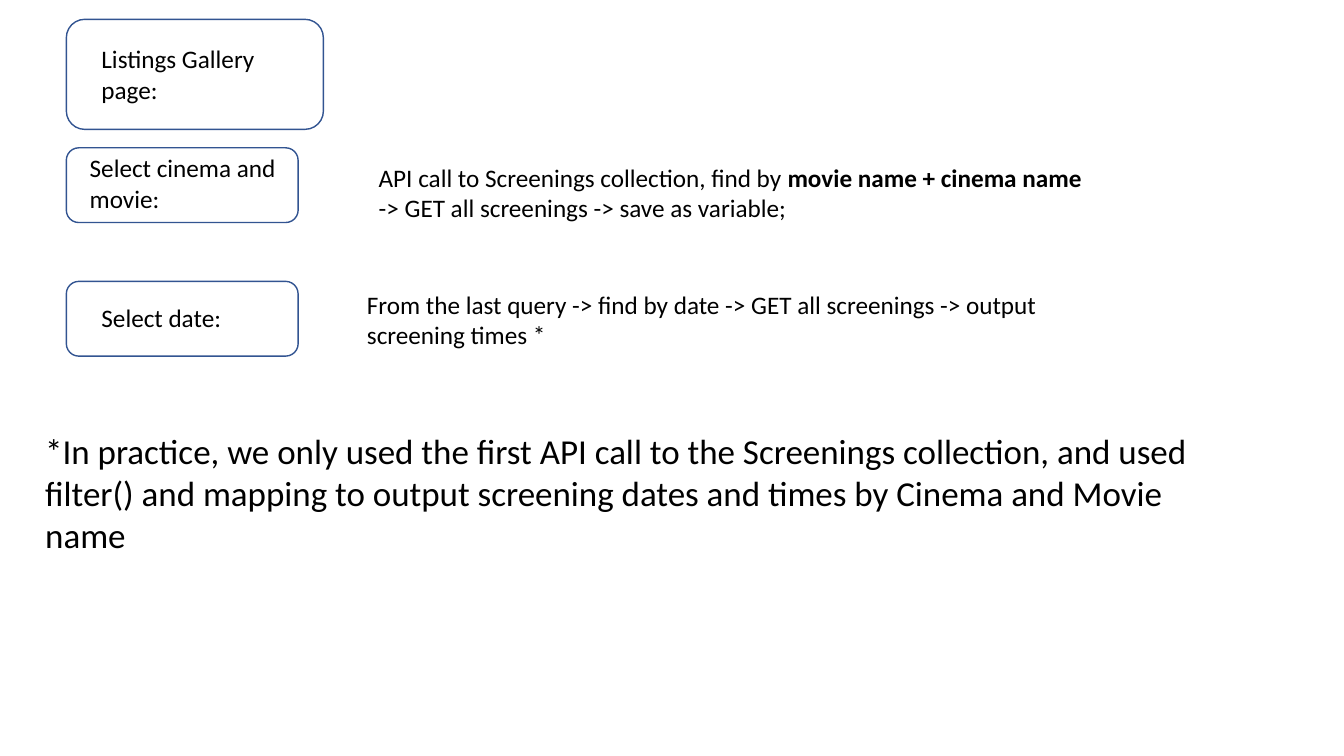
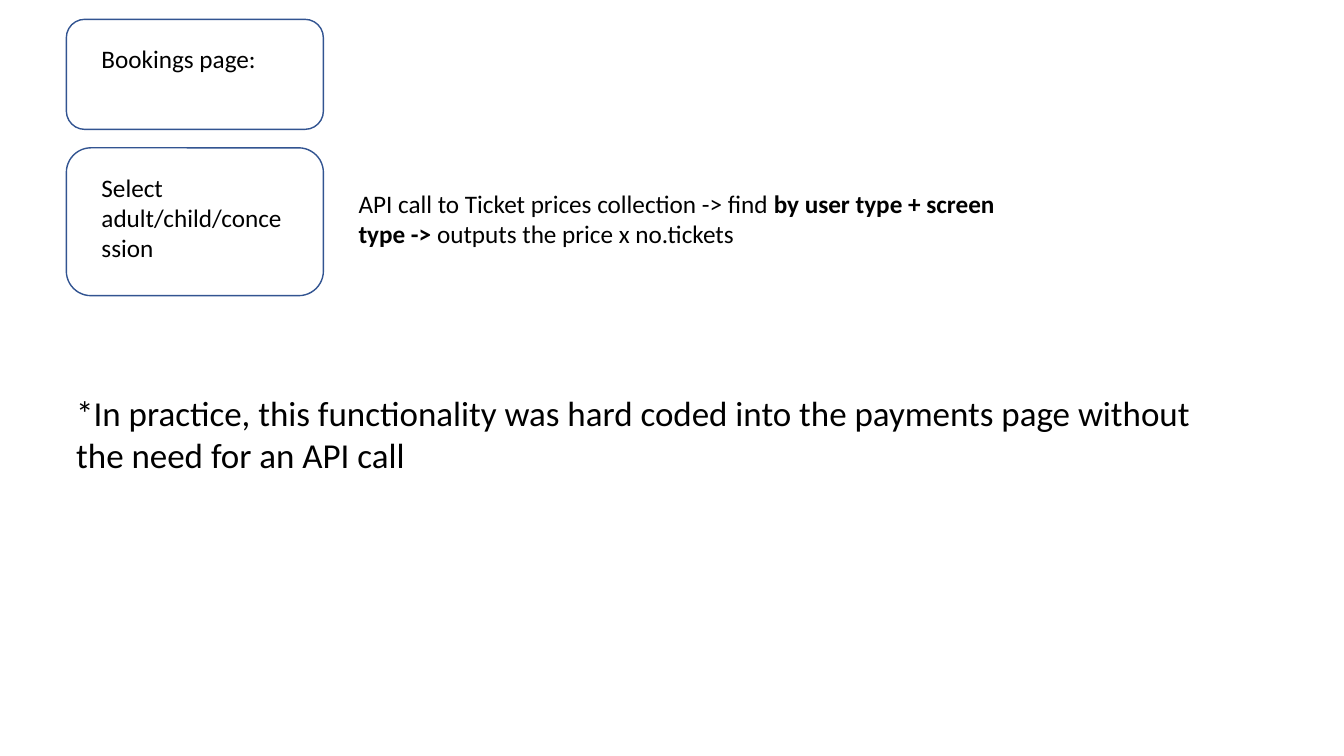
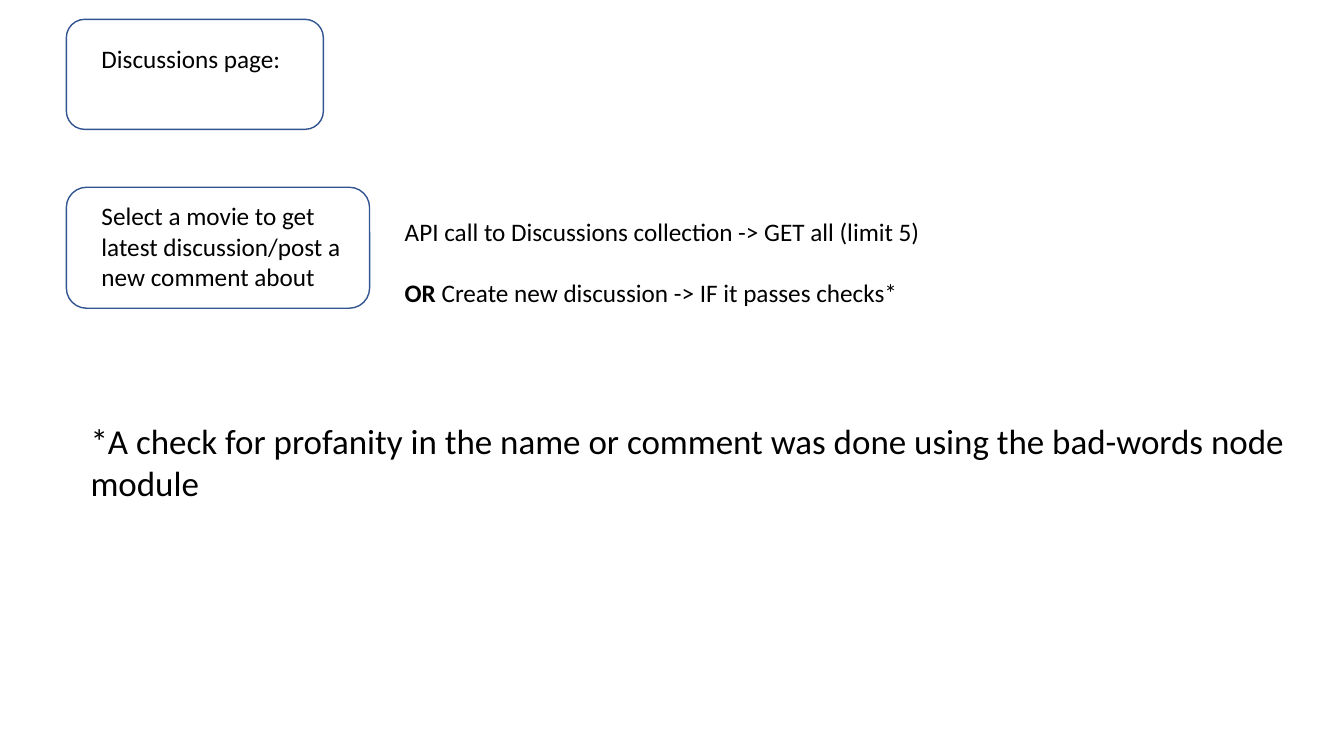
from dataclasses import dataclass

from pptx import Presentation
from pptx import util as u
from pptx.dml import color
from pptx.enum import shapes, text


@dataclass(frozen=True)
class Theme:
    font: str = "Calibri"
    ink: color.RGBColor = color.RGBColor(0, 0, 0)
    outline: color.RGBColor = color.RGBColor(0x32, 0x54, 0x91)
    outline_width: float = 1
    body_size: int = 18
    note_size: int = 25
    line_spacing: float = 1.21


@dataclass(frozen=True)
class Run:
    words: str
    bold: bool = False


Paragraph = tuple[Run, ...]


@dataclass(frozen=True)
class Area:
    """A rectangle in grid columns and rows."""
    left: float
    top: float
    width: float
    height: float


@dataclass(frozen=True)
class Copy:
    """Text whose height follows from its number of lines."""
    left: float
    top: float
    width: float
    lines: int
    paragraphs: tuple[Paragraph, ...]


@dataclass(frozen=True)
class Step:
    frame: Area
    label: Copy
    call: Copy


@dataclass(frozen=True)
class Page:
    title: str
    title_lines: int
    steps: tuple[Step, ...]
    note: Copy


# Grid: 160 columns by 90 rows of square cells, 6 points each
THEME = Theme()
CELL_POINTS = 6
COLUMNS, ROWS = 160, 90
MARGIN, LABEL_LEFT, LABEL_WIDTH = 7.9, 10.9, 24.7
TITLE_FRAME = Area(MARGIN, 2.3, 30.6, 13.1)
TITLE_TOP = 4.6
TEXT_PADDING = 1.2


def cells(count: float) -> u.Length:
    return u.Pt(count * CELL_POINTS)


def plain(words: str) -> tuple[Paragraph, ...]:
    return ((Run(words),),)


def draw_frame(slide, area: Area) -> None:
    frame = slide.shapes.add_shape(
        shapes.MSO_SHAPE.ROUNDED_RECTANGLE,
        cells(area.left), cells(area.top), cells(area.width), cells(area.height))
    frame.shadow.inherit = False
    frame.fill.background()
    frame.line.color.rgb = THEME.outline
    frame.line.width = u.Pt(THEME.outline_width)


def draw_copy(slide, copy: Copy, size: int = THEME.body_size) -> None:
    line_points = size * THEME.line_spacing
    height = TEXT_PADDING + copy.lines * line_points / CELL_POINTS
    box = slide.shapes.add_textbox(
        cells(copy.left), cells(copy.top), cells(copy.width), cells(height))
    body = box.text_frame
    body.word_wrap = True
    body.auto_size = text.MSO_AUTO_SIZE.SHAPE_TO_FIT_TEXT
    for index, runs in enumerate(copy.paragraphs):
        paragraph = body.add_paragraph() if index else body.paragraphs[0]
        if index:
            paragraph.space_before = u.Pt(round(line_points))
        for piece in runs:
            run = paragraph.add_run()
            run.text = piece.words
            run.font.name = THEME.font
            run.font.size = u.Pt(size)
            run.font.bold = piece.bold
            run.font.color.rgb = THEME.ink


def draw_page(deck, page: Page) -> None:
    slide = deck.slides.add_slide(deck.slide_layouts[6])
    draw_frame(slide, TITLE_FRAME)
    draw_copy(slide, Copy(LABEL_LEFT, TITLE_TOP, LABEL_WIDTH,
                          page.title_lines, plain(page.title)))
    for step in page.steps:
        draw_frame(slide, step.frame)
        draw_copy(slide, step.label)
        draw_copy(slide, step.call)
    draw_copy(slide, page.note, THEME.note_size)


# Listings: two queries
LISTINGS = Page(
    "Listings Gallery page:", 2,
    (
        Step(
            Area(MARGIN, 17.6, 27.6, 8.9),
            Copy(9.5, 17.6, LABEL_WIDTH, 2, plain("Select cinema and movie:")),
            Copy(43.9, 18.7, 87.7, 2, ((
                Run("API call to Screenings collection, find by "),
                Run("movie name + cinema name ", bold=True),
                Run("-> GET all screenings -> save as variable;")),)),
        ),
        Step(
            Area(MARGIN, 33.5, 27.6, 8.9),
            Copy(LABEL_LEFT, 35.4, LABEL_WIDTH, 1, plain("Select date:")),
            Copy(42.5, 33.8, 87.7, 2, plain(
                "From the last query -> find by date -> GET all screenings "
                "-> output screening times *")),
        ),
    ),
    Copy(4.2, 50.5, 145.8, 3, plain(
        "*In practice, we only used the first API call to the Screenings "
        "collection, and used filter() and mapping to output screening dates "
        "and times by Cinema and Movie name")),
)

# Bookings: ticket prices
BOOKINGS = Page(
    "Bookings page:", 1,
    (
        Step(
            Area(MARGIN, 17.6, 30.6, 17.6),
            Copy(LABEL_LEFT, 19.9, LABEL_WIDTH, 3,
                 plain("Select adult/child/concession")),
            Copy(41.5, 21.8, 80, 2, ((
                Run("API call to Ticket prices collection -> find "),
                Run("by user type + screen type -> ", bold=True),
                Run("outputs the price x no.tickets")),)),
        ),
    ),
    Copy(MARGIN, 46, 135.4, 2, plain(
        "*In practice, this functionality was hard coded into the payments "
        "page without the need for an API call")),
)

# Discussions: read or post
DISCUSSIONS = Page(
    "Discussions page:", 1,
    (
        Step(
            Area(MARGIN, 22.3, 36.1, 14.4),
            Copy(LABEL_LEFT, 23.3, 31.6, 3, plain(
                "Select a movie to get latest discussion/post a new comment about")),
            Copy(47, 25.1, 80, 3, (
                (Run("API call to Discussions collection -> GET all (limit 5)"),),
                (Run("OR ", bold=True),
                 Run("Create new discussion -> IF it passes checks*")))),
        ),
    ),
    Copy(9.6, 49.4, 145.2, 2, plain(
        "*A check for profanity in the name or comment was done using the "
        "bad-words node module")),
)


def main() -> None:
    deck = Presentation()
    deck.slide_width, deck.slide_height = cells(COLUMNS), cells(ROWS)
    for page in (LISTINGS, BOOKINGS, DISCUSSIONS):
        draw_page(deck, page)
    deck.save("out.pptx")


main()
